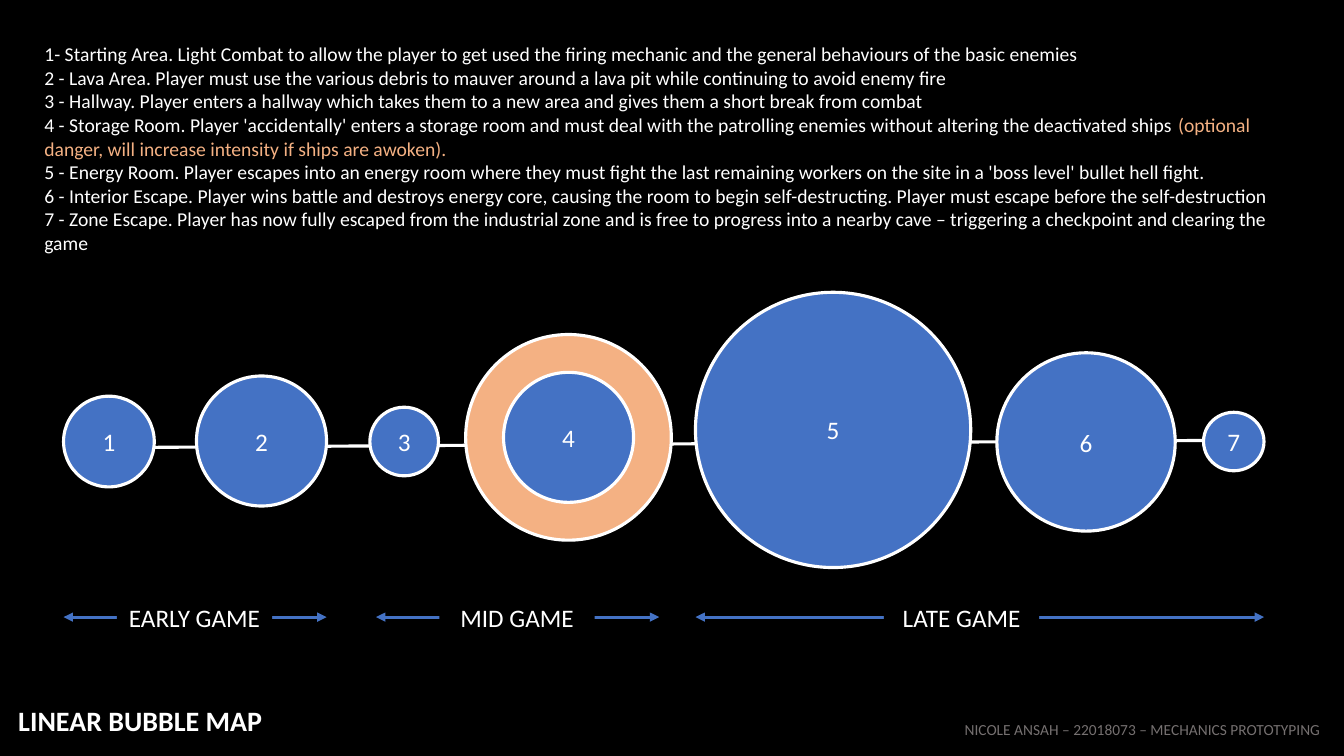
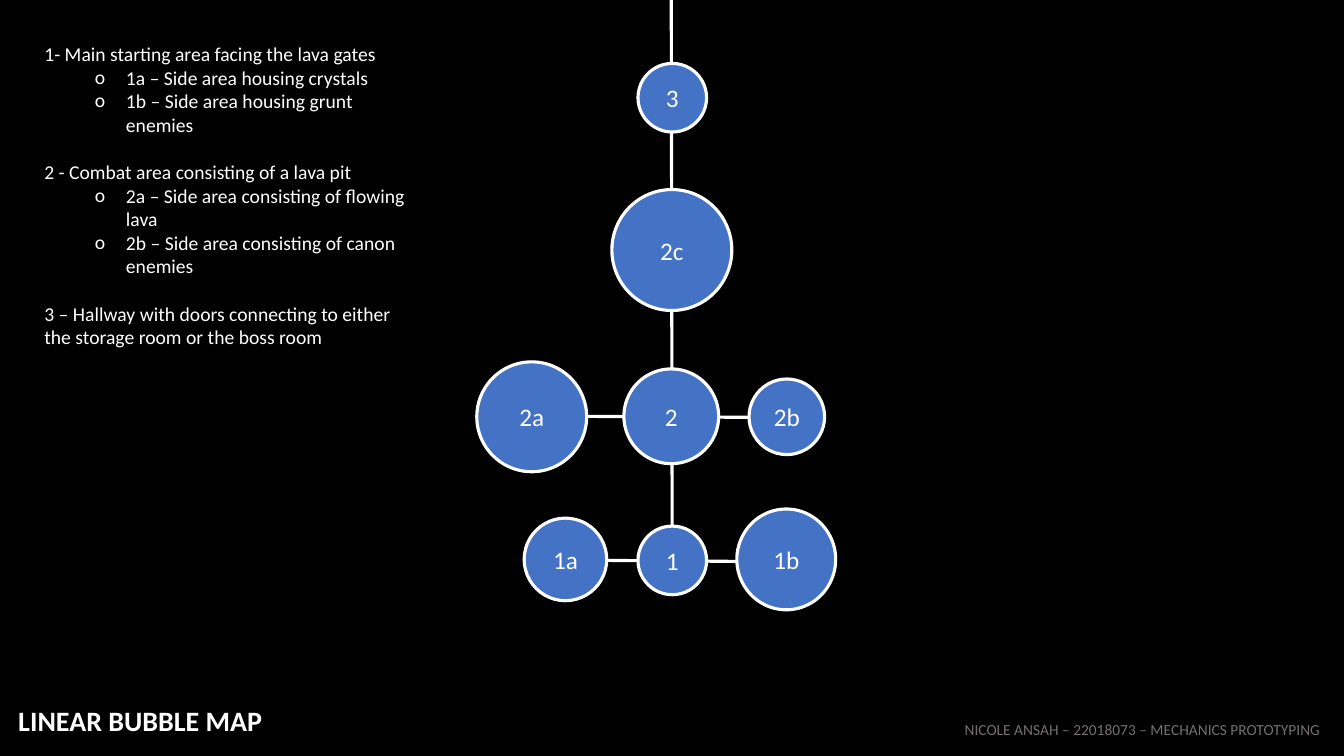
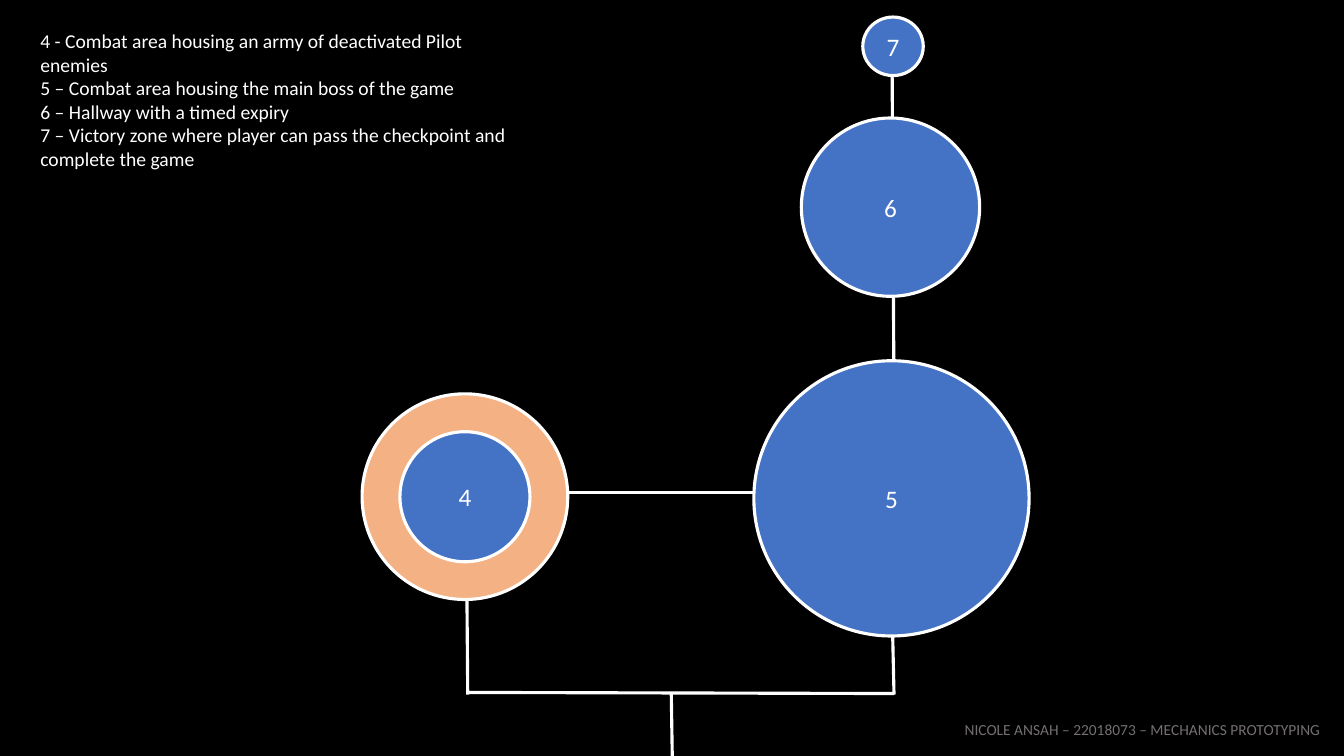
from pptx import Presentation
from pptx.util import Pt
from pptx.dml.color import RGBColor as Rgb
from pptx.enum.shapes import MSO_SHAPE as Shape, MSO_CONNECTOR as Link
from pptx.enum.text import PP_ALIGN as Align, MSO_ANCHOR as Anchor, MSO_AUTO_SIZE as Fit
from pptx.oxml.ns import qn
from lxml.etree import SubElement as Sub

COLORS = {"black": "000000", "white": "FFFFFF", "blue": "4472C4",
          "peach": "F4B183", "gray": "757070"}
FONT = "Calibri"
TITLE = "LINEAR BUBBLE MAP"
FOOTER = "NICOLE ANSAH – 22018073 – MECHANICS PROTOTYPING"
TITLE_BOX = (5.8, 499, 419.8, 31.7)
FOOT_BOX = (266.4, 510.5, 684, 20.9)
RING = 146.9
GAP = 17

SLIDES = [
    {
        "title": TITLE,
        "box": (24.5, 26.6, 910.8, 159.8),
        "notes": [
            "1- Starting Area. Light Combat to allow the player to get used the firing mechanic and the general behaviours of the basic enemies",
            "2 - Lava Area. Player must use the various debris to mauver around a lava pit while continuing to avoid enemy fire",
            "3 - Hallway. Player enters a hallway which takes them to a new area and gives them a short break from combat",
            ("4 - Storage Room. Player 'accidentally' enters a storage room and must deal with the patrolling enemies without altering the deactivated ships ",
             {"warn": "(optional danger, will increase intensity if ships are awoken)."}),
            "5 - Energy Room. Player escapes into an energy room where they must fight the last remaining workers on the site in a 'boss level' bullet hell fight.",
            "6 - Interior Escape. Player wins battle and destroys energy core, causing the room to begin self-destructing. Player must escape before the self-destruction",
            "7 - Zone Escape. Player has now fully escaped from the industrial zone and is free to progress into a nearby cave – triggering a checkpoint and clearing the game",
        ],
        "lines": [(85.7, 319.7, 863.3, 314.6)],
        "bubbles": [
            ("1", 77.8, 315.4, 64.8), ("2", 186.8, 315, 92.9),
            ("3", 288.7, 315.4, 49), ("4", 406.1, 312.4, 92.9),
            ("5", 595.1, 307.1, 196.6), ("6", 775.8, 315.7, 127.4),
            ("7", 881.3, 315.4, 43.2, 41.8),
        ],
        "stages": [("EARLY GAME", 45.4, 233.3, 139), ("MID GAME", 268.6, 470.9, 369.4),
                   ("LATE GAME", 496.8, 902.9, 686.9)],
    },
    {
        "title": TITLE,
        "box": (24.5, 26.6, 276.5, 227.5),
        "notes": [
            "1- Main starting area facing the lava gates",
            ("1a – Side area housing crystals", {"sub": True}),
            ("1b – Side area housing grunt enemies", {"sub": True}),
            ("2 - Combat area consisting of a lava pit", {"gap": GAP}),
            ("2a – Side area consisting of flowing lava", {"sub": True}),
            ("2b – Side area consisting of canon enemies", {"sub": True}),
            ("3 – Hallway with doors connecting to either the storage room or the boss room", {"gap": GAP}),
        ],
        "lines": [(479.5, 0, 480.2, 419.8), (415.4, 297.4, 535, 298.1),
                  (432.7, 400.3, 526.3, 401)],
        "bubbles": [
            ("1", 480.2, 400.3, 49), ("2", 479.5, 297.4, 67.7),
            ("3", 480.2, 69.8, 49), ("1a", 403.9, 399.6, 59),
            ("1b", 561.6, 399.6, 70.6, 72), ("2a", 379.8, 297.7, 78.5),
            ("2b", 562, 297.7, 54), ("2c", 479.9, 178.6, 85.7, 86.4),
        ],
    },
    {
        "box": (21.6, 17.3, 362.2, 108.7),
        "notes": [
            "4 - Combat area housing an army of deactivated Pilot enemies",
            "5 – Combat area housing the main boss of the game",
            "6 – Hallway with a timed expiry",
            "7 – Victory zone where player can pass the checkpoint and complete the game",
        ],
        "lines": [(637.2, 434.2, 638.6, 496.1), (333.4, 408.2, 334.1, 496.1),
                  (637.2, 41.8, 638.6, 285.1), (323.3, 352.1, 628.6, 352.1),
                  (333.4, 494.6, 638.6, 495.4), (479.5, 494.6, 480.2, 540)],
        "bubbles": [
            ("4", 332.1, 354.8, 92.9), ("5", 636.8, 356, 196.6),
            ("6", 636.1, 148, 127.4), ("7", 637.9, 33.1, 43.2, 41.8),
        ],
    },
]


def tint(name):
    return Rgb.from_string(COLORS[name])


def place(shape, box):
    shape.left, shape.top, shape.width, shape.height = map(Pt, box)


def write(para, text, size=14, color="white", bold=False, align=Align.LEFT,
          sub=False, gap=0, warn=None):
    para.alignment = align
    para.line_spacing = 1.0
    para.space_before, para.space_after = Pt(gap), Pt(0)
    props = para._p.get_or_add_pPr()
    props.set("marL", str(Pt(58.3 if sub else 0)))
    props.set("indent", str(Pt(-22.3 if sub else 0)))
    if sub:
        Sub(props, qn("a:buFont")).set("typeface", FONT)
        Sub(props, qn("a:buChar")).set("char", "o")
    else:
        Sub(props, qn("a:buNone"))
    for part, hue in ((text, color), (warn, "peach")):
        if part:
            run = para.add_run()
            run.text = part
            run.font.name, run.font.size, run.font.bold = FONT, Pt(size), bold
            run.font.color.rgb = tint(hue)


def frame(shape, wrap=True, anchor=Anchor.TOP):
    body = shape.text_frame
    body.word_wrap, body.auto_size = wrap, Fit.NONE
    body.vertical_anchor = anchor
    return body


def line(slide, ends, color="white", arrows=False):
    link = slide.shapes.add_connector(Link.STRAIGHT, *map(Pt, ends))
    link.line.color.rgb, link.line.width = tint(color), Pt(2.25)
    if arrows:
        for tag in ("a:headEnd", "a:tailEnd"):
            Sub(link.line._get_or_add_ln(), qn(tag)).set("type", "triangle")
    Sub(link._element.spPr, qn("a:effectLst"))


def block(slide, kind, text, x, y, wide, high, fill, edge=None):
    shape = slide.shapes.add_shape(
        kind, *map(Pt, (x - wide / 2, y - high / 2, wide, high)))
    shape.shadow.inherit = False
    shape.fill.solid()
    shape.fill.fore_color.rgb = tint(fill)
    if edge:
        shape.line.color.rgb, shape.line.width = tint(edge), Pt(2.25)
    else:
        shape.line.fill.background()
    if text:
        write(frame(shape, False, Anchor.MIDDLE).paragraphs[0], text, size=18,
              align=Align.CENTER)


def bubble(slide, text, x, y, wide, high=None):
    if text == "4":
        block(slide, Shape.OVAL, "", x, y, RING, RING, "peach", "white")
    block(slide, Shape.OVAL, text, x, y, wide, high or wide, "blue", "white")


def stage(slide, text, start, end, mid):
    line(slide, (start, 440.8, end, 440.8), "blue", arrows=True)
    block(slide, Shape.RECTANGLE, text, mid, 441, 110.9, 29.5, "black")


def build(deck, data):
    slide = deck.slides.add_slide(deck.slide_layouts[1])
    title, body = slide.shapes.title, slide.placeholders[1]
    if "title" in data:
        place(title, TITLE_BOX)
        write(frame(title).paragraphs[0], data["title"], size=20, bold=True)
    else:
        title._element.getparent().remove(title._element)
    place(body, data["box"])
    text = frame(body)
    for i, note in enumerate(data["notes"]):
        words, look = (note, {}) if isinstance(note, str) else note
        write(text.add_paragraph() if i else text.paragraphs[0], words, **look)
    foot = slide.shapes.add_textbox(*map(Pt, FOOT_BOX))
    write(frame(foot).paragraphs[0], FOOTER, size=11, color="gray", align=Align.RIGHT)
    for ends in data["lines"]:
        line(slide, ends)
    for item in data["bubbles"]:
        bubble(slide, *item)
    for item in data.get("stages", []):
        stage(slide, *item)


def main():
    deck = Presentation()
    deck.slide_width, deck.slide_height = Pt(960), Pt(540)
    back = deck.slide_master.background.fill
    back.solid()
    back.fore_color.rgb = tint("black")
    for data in SLIDES:
        build(deck, data)
    deck.save("out.pptx")


if __name__ == "__main__":
    main()
